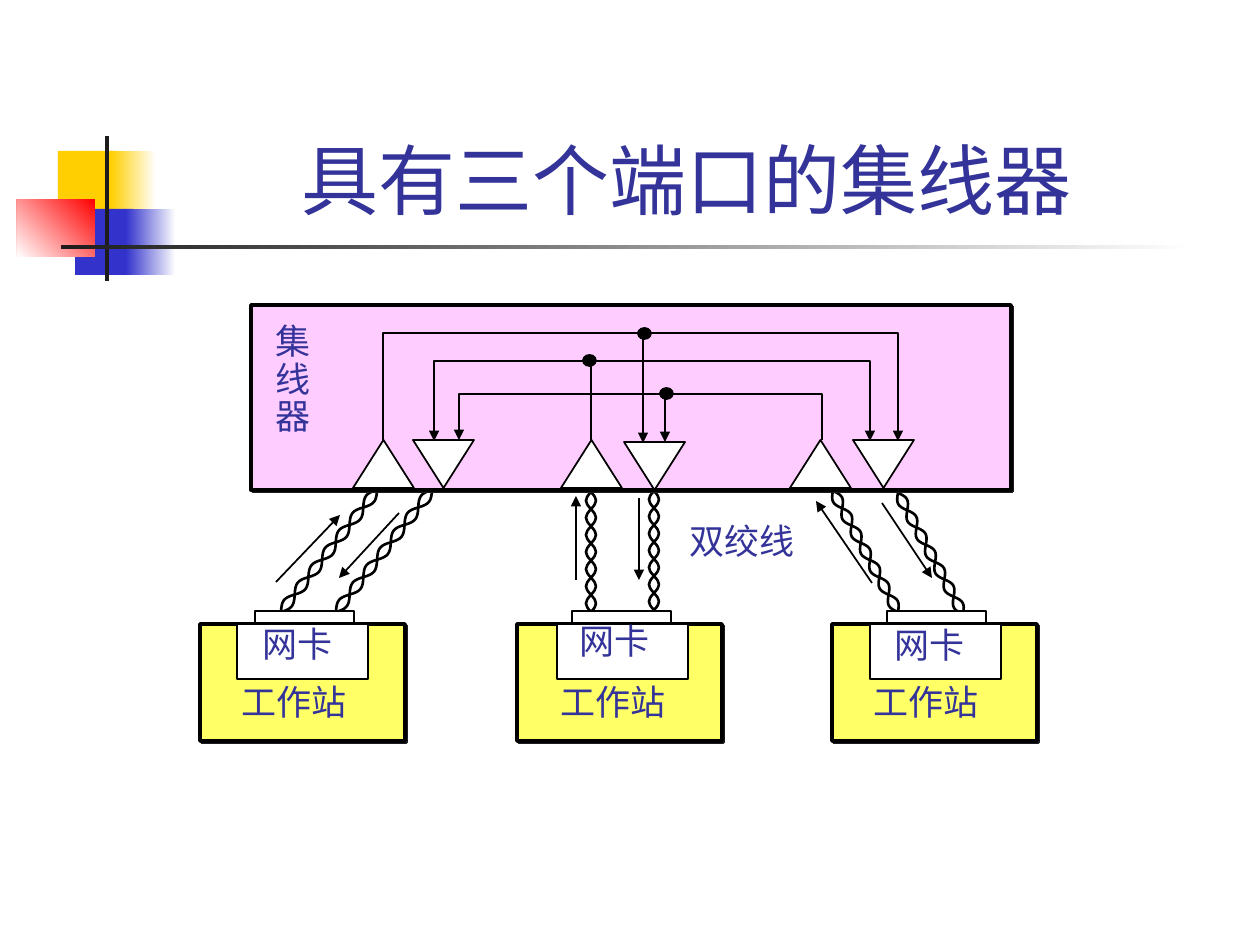
from math import hypot

from lxml.etree import SubElement
from pptx import Presentation
from pptx.dml.color import RGBColor
from pptx.enum.shapes import MSO_CONNECTOR, MSO_SHAPE
from pptx.enum.text import MSO_ANCHOR, PP_ALIGN
from pptx.oxml.ns import qn
from pptx.util import Emu, Pt

EMU_PER_PX = 914400 / 126

WHITE = RGBColor(0xFF, 0xFF, 0xFF)
BLACK = RGBColor(0x00, 0x00, 0x00)
CHARCOAL = RGBColor(0x1C, 0x1C, 0x1C)
GOLD = RGBColor(0xFF, 0xCF, 0x01)
BLUE = RGBColor(0x33, 0x33, 0xCC)
RED = RGBColor(0xFF, 0x00, 0x00)
NAVY = RGBColor(0x33, 0x33, 0x99)
PINK = RGBColor(0xFF, 0xCC, 0xFF)
YELLOW = RGBColor(0xFF, 0xFF, 0x66)

TITLE_FONT = {"name": "Arial", "size": Pt(44)}
LABEL_FONT = {"name": "Times New Roman", "size": Pt(20)}


def px(value):
    return Emu(round(value * EMU_PER_PX))


def set_line(shape, width):
    shape.line.color.rgb = BLACK
    shape.line.width = Pt(width)


def add_arrowhead(shape):
    SubElement(shape.line._get_or_add_ln(), qn("a:tailEnd"), type="triangle")


def add_block(slide, left, top, width, height, fill, line=0, kind=MSO_SHAPE.RECTANGLE):
    shape = slide.shapes.add_shape(kind, px(left), px(top), px(width), px(height))
    shape.shadow.inherit = False
    shape.fill.solid()
    shape.fill.fore_color.rgb = fill
    if line:
        set_line(shape, line)
    else:
        shape.line.fill.background()
    return shape


def add_hard_shadow(shape):
    effects = shape._element.spPr.find(qn("a:effectLst"))
    shadow = SubElement(effects, qn("a:outerShdw"), dist=str(int(Pt(1.4))),
                        dir="2700000", algn="ctr", rotWithShape="0")
    SubElement(shadow, qn("a:srgbClr"), val=str(CHARCOAL))


def add_fade(slide, left, top, width, height, color, angle=0):
    """Add a borderless block that fades from the color to white."""
    shape = add_block(slide, left, top, width, height, color)
    shape.fill.gradient()
    shape.fill.gradient_angle = angle
    for stop, stop_color in zip(shape.fill.gradient_stops, (color, WHITE)):
        stop.color.rgb = stop_color


def add_text(slide, left, top, width, height, lines, font=LABEL_FONT, spacing=1.0):
    box = slide.shapes.add_textbox(px(left), px(top), px(width), px(height))
    frame = box.text_frame
    frame.word_wrap = False
    frame.text = "\n".join(lines)
    for paragraph in frame.paragraphs:
        paragraph.line_spacing = spacing
        for run in paragraph.runs:
            run.font.color.rgb = NAVY
            for name, value in font.items():
                setattr(run.font, name, value)
    return frame


def add_path(slide, points, width=1):
    (start_x, start_y), *others = [(px(x), px(y)) for x, y in points]
    builder = slide.shapes.build_freeform(start_x, start_y)
    builder.add_line_segments(others, close=False)
    shape = builder.convert_to_shape()
    shape.shadow.inherit = False
    shape.fill.background()
    set_line(shape, width)
    return shape


def add_curve(slide, points, width):
    """Add a path whose points after the first are taken in threes as Bezier curves."""
    shape = add_path(slide, points, width)
    segments = list(shape._element.spPr.iter(qn("a:lnTo")))
    for first in range(0, len(segments), 3):
        curve, *others = segments[first:first + 3]
        outline = curve.getparent()
        bezier = SubElement(outline, qn("a:cubicBezTo"))
        for segment in (curve, *others):
            bezier.append(segment[0])
            outline.remove(segment)


def add_arrow(slide, left, top, start, end):
    connector = slide.shapes.add_connector(
        MSO_CONNECTOR.STRAIGHT, px(left + start[0]), px(top + start[1]),
        px(left + end[0]), px(top + end[1]))
    set_line(connector, 1)
    add_arrowhead(connector)
    SubElement(connector._element.spPr, qn("a:effectLst"))


def add_twisted_pair(slide, start, end, half_turns=7, amplitude=5):
    """Add two strands that wind in opposite phase about the line start to end."""
    run_x, run_y = end[0] - start[0], end[1] - start[1]
    reach = amplitude * 4 / 3 / hypot(run_x, run_y)
    for side in (reach, -reach):
        points = [start]
        for turn in range(half_turns):
            bulge = side * (-1) ** turn
            for along, sway in [(0.42, bulge), (0.58, bulge), (1, 0)]:
                share = (turn + along) / half_turns
                points.append((start[0] + run_x * share - run_y * sway,
                               start[1] + run_y * share + run_x * sway))
        add_curve(slide, points, 1.5)


def draw_heading(slide, left, top):
    """Draw the colored squares, the crossing rules and the title."""
    add_block(slide, left + 41, top + 15, 60, 66, GOLD)
    add_fade(slide, left + 94, top + 15, 45, 66, GOLD)
    add_block(slide, left + 58, top + 73, 58, 66, BLUE)
    add_fade(slide, left + 109, top + 73, 50, 66, BLUE)
    add_fade(slide, left, top + 63, 78, 58, RED, 225)
    add_block(slide, left + 88, top, 4, 145, CHARCOAL)
    add_fade(slide, left + 44, top + 109, 1134, 4, CHARCOAL)
    frame = add_text(slide, left + 133, top - 107, 1073, 202,
                     ["具有三个端口的集线器"], TITLE_FONT)
    frame.word_wrap = True
    frame.vertical_anchor = MSO_ANCHOR.BOTTOM
    frame.paragraphs[0].alignment = PP_ALIGN.CENTER


def draw_links(slide, left, top):
    """Draw the twisted pairs below the hub and the arrows for their direction."""
    for start, end in [((126, 0), (30, 122)), ((181, 0), (85, 122)),
                       ((340, 2), (340, 122)), ((403, 1), (403, 120)),
                       ((582, 1), (647, 122)), ((647, 3), (712, 124))]:
        add_twisted_pair(slide, (left + start[0], top + start[1]),
                         (left + end[0], top + end[1]))
    for start, end in [((25, 92), (89, 25)), ((148, 23), (88, 88)),
                       ((325, 90), (325, 6)), ((388, 8), (388, 90)),
                       ((621, 93), (565, 11)), ((631, 13), (681, 88))]:
        add_arrow(slide, left, top, start, end)
    add_text(slide, left + 426, top + 23, 130, 54, ["双绞线"])


def draw_hub(slide, left, top, width, height):
    add_hard_shadow(add_block(slide, left, top, width, height, PINK, 2))
    for x, y, rotation in [(102, 135, 0), (310, 135, 0), (539, 135, 0),
                           (162, 135, 180), (373, 137, 180), (602, 135, 180)]:
        triangle = add_block(slide, left + x, top + y, 61, 48, WHITE, 1,
                             MSO_SHAPE.ISOSCELES_TRIANGLE)
        triangle.rotation = rotation
    for bus in [[(571, 135), (571, 89), (208, 89), (208, 135)],
                [(340, 137), (340, 56), (619, 56), (619, 136)],
                [(340, 56), (183, 56), (183, 136)],
                [(132, 137), (132, 28), (647, 28), (647, 136)]]:
        add_arrowhead(add_path(slide, [(left + x, top + y) for x, y in bus]))
    add_arrow(slide, left, top, (414, 91), (414, 137))
    add_arrow(slide, left, top, (392, 30), (392, 138))
    for x, y in [(332, 50), (387, 23), (409, 83)]:
        add_block(slide, left + x, top + y, 13, 11, BLACK, 1, MSO_SHAPE.OVAL)
    add_text(slide, left + 12, top + 13, 60, 126, ["集", "线", "器"], spacing=0.9)


def draw_station(slide, left, top, card_x, card_label_y, label_x):
    add_hard_shadow(add_block(slide, left, top, 205, 117, YELLOW, 2))
    add_block(slide, left + card_x, top, 131, 55, WHITE, 1)
    add_block(slide, left + 55, top - 13, 99, 12, WHITE, 1)
    add_text(slide, left + 50, top + card_label_y, 96, 54, ["网卡"])
    add_text(slide, left + label_x, top + 50, 130, 54, ["工作站"])


def main():
    presentation = Presentation()
    presentation.slide_width, presentation.slide_height = px(1260), px(945)
    slide = presentation.slides.add_slide(presentation.slide_layouts[6])
    draw_heading(slide, 17, 136)
    draw_links(slide, 251, 490)
    draw_hub(slide, 251, 305, 760, 185)
    for left, card_x, card_label_y, label_x in [(200, 37, -8, 29), (517, 40, -11, 31),
                                                (832, 38, -7, 29)]:
        draw_station(slide, left, 624, card_x, card_label_y, label_x)
    presentation.save("out.pptx")


if __name__ == "__main__":
    main()
